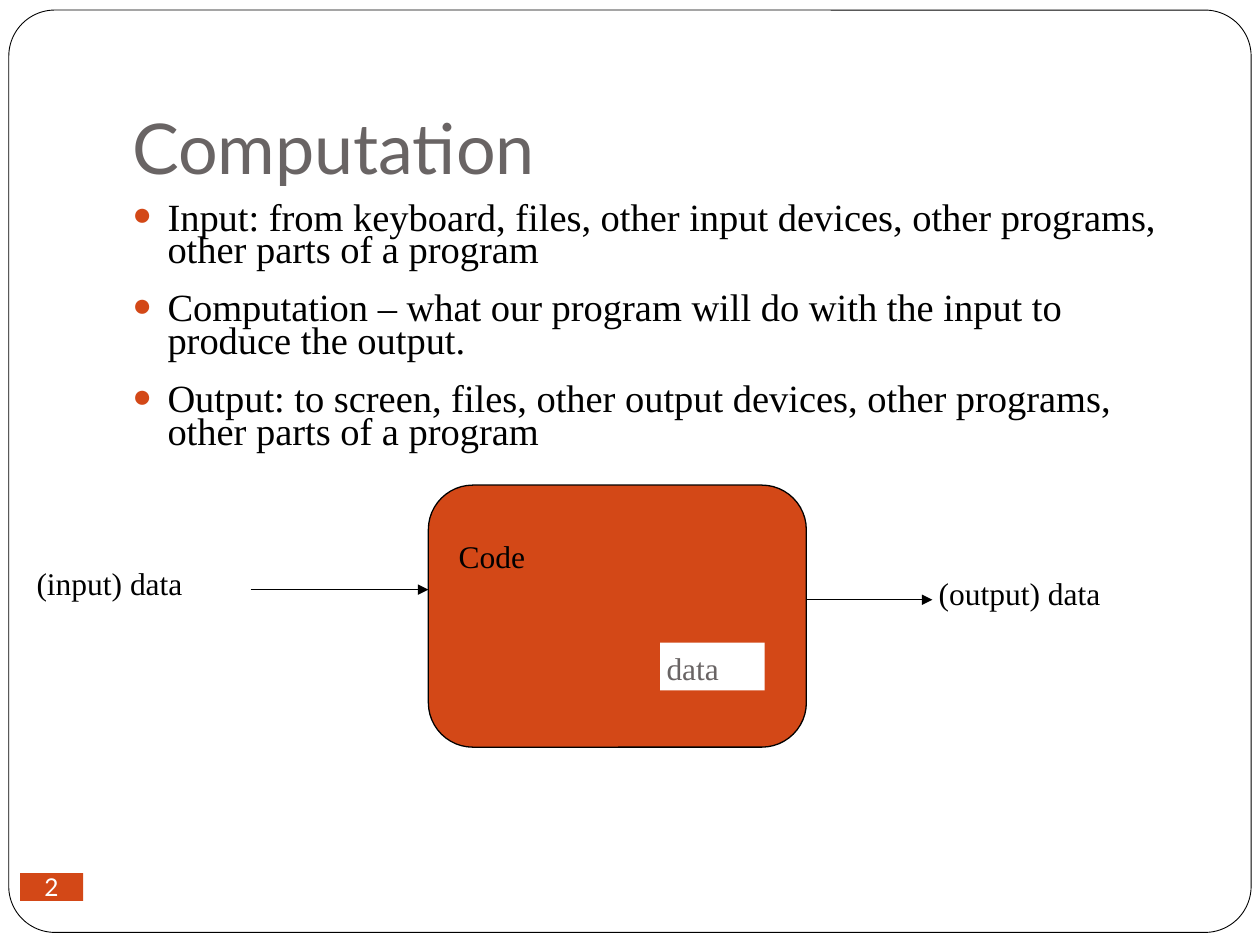
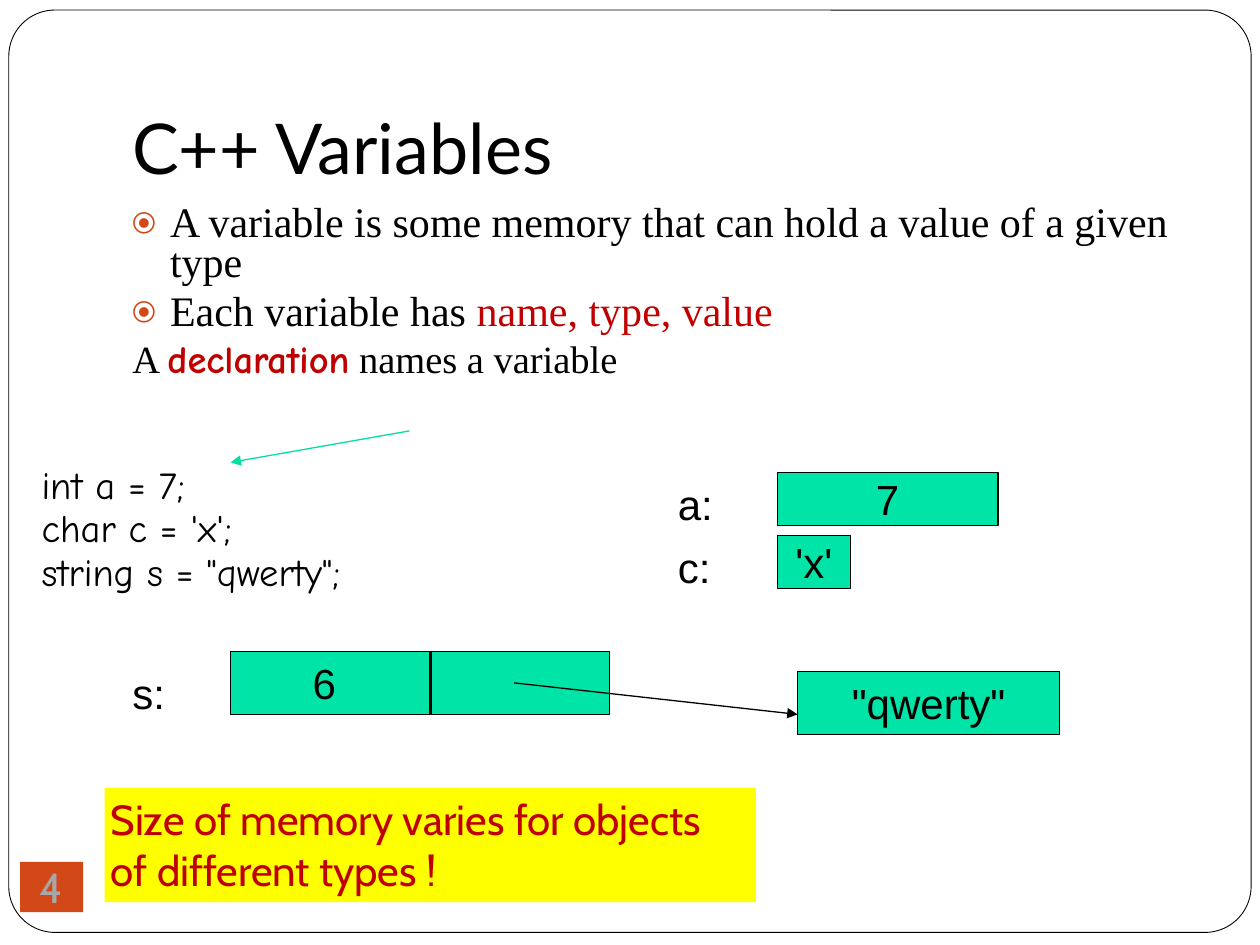
"""Build two slides about computation and C++ variables."""
from lxml import etree
from pptx import Presentation
from pptx.dml.color import RGBColor
from pptx.enum.shapes import MSO_CONNECTOR, MSO_SHAPE
from pptx.enum.text import MSO_ANCHOR, PP_ALIGN
from pptx.oxml.ns import qn
from pptx.util import Inches, Pt

RECT, ROUND = MSO_SHAPE.RECTANGLE, MSO_SHAPE.ROUNDED_RECTANGLE
STRAIGHT = MSO_CONNECTOR.STRAIGHT
TOP, MIDDLE, BOTTOM = MSO_ANCHOR.TOP, MSO_ANCHOR.MIDDLE, MSO_ANCHOR.BOTTOM
LEFT, CENTER = PP_ALIGN.LEFT, PP_ALIGN.CENTER

BLACK, WHITE, GREY, SILVER = "000000", "FFFFFF", "696464", "A7A7A7"
ORANGE, RED, YELLOW = "D34817", "C00000", "FFFF00"
GREEN, TEAL = "00E4A8", "00DFA4"
SERIF, SANS, HAND, HEAD, CALL = (
    "Times New Roman", "Arial", "Comic Neue", "Lato", "Cabin")
BODY = (1, 1.58, 8.5, 5)


def paint(target, color):
    """Give a fill or line format a solid colour."""
    target.solid()
    target.fore_color.rgb = RGBColor.from_string(color)


def style(font, size, face, color, bold=False):
    """Set the look of one run."""
    font.size, font.name, font.bold = Pt(size), face, bold
    font.color.rgb = RGBColor.from_string(color)


def mark(para, bullet, hang):
    """Hang a paragraph and give it a bullet if there is one."""
    props = para._p.get_or_add_pPr()
    props.set("marL", str(Inches(hang)))
    props.set("indent", str(-Inches(hang)))
    if bullet:
        tint = etree.SubElement(props, qn("a:buClr"))
        etree.SubElement(tint, qn("a:srgbClr"), val=ORANGE)
        etree.SubElement(props, qn("a:buSzPct"), val="85000")
        etree.SubElement(props, qn("a:buFont"), typeface=SERIF)
        etree.SubElement(props, qn("a:buChar"), char=bullet)


def write(shape, lines, size=18, face=SERIF, color=BLACK, align=LEFT,
          anchor=TOP, inset=0.05, space=None, before=0, hang=0, bullets=()):
    """Write lines, each a string or a list of (text, changes) runs."""
    frame = shape.text_frame
    frame.word_wrap, frame.vertical_anchor = True, anchor
    frame.margin_left = frame.margin_right = Inches(inset)
    frame.margin_top = frame.margin_bottom = Inches(inset)
    base = {"size": size, "face": face, "color": color}
    for i, line in enumerate(lines):
        para = frame.add_paragraph() if i else frame.paragraphs[0]
        para.alignment = align
        para.space_before = Pt(before)
        if space:
            para.line_spacing = space
        if hang:
            mark(para, bullets[i] if i < len(bullets) else None, hang)
        for text, change in [(line, {})] if isinstance(line, str) else line:
            run = para.add_run()
            run.text = text
            style(run.font, **{**base, **change})


def label(slide, at, lines, **look):
    """Add a text box."""
    write(slide.shapes.add_textbox(*map(Inches, at)), lines, **look)


def block(slide, at, fill=None, line=None, width=0.75, kind=RECT, adj=None):
    """Add a preset shape with an optional fill and outline."""
    shape = slide.shapes.add_shape(kind, *map(Inches, at))
    shape.shadow.inherit = False
    if adj is not None:
        shape.adjustments[0] = adj
    if fill:
        paint(shape.fill, fill)
    else:
        shape.fill.background()
    if line:
        paint(shape.line.fill, line)
        shape.line.width = Pt(width)
    else:
        shape.line.fill.background()
    return shape


def arrow(slide, start, end, color=BLACK):
    """Draw a straight arrow between two points."""
    link = slide.shapes.add_connector(STRAIGHT, *map(Inches, start + end))
    paint(link.line.fill, color)
    link.line.width = Pt(0.75)
    etree.SubElement(link.line._get_or_add_ln(), qn("a:tailEnd"),
                     type="triangle")
    etree.SubElement(link._element.spPr, qn("a:effectLst"))


def cell(slide, at, value=None):
    """Draw a box of memory with its value."""
    shape = block(slide, at, GREEN, BLACK)
    if value:
        write(shape, [value], size=24, face=SANS, align=CENTER,
              anchor=MIDDLE, inset=0)


def start(deck, name, color):
    """Add a slide with the shared frame and title."""
    slide = deck.slides.add_slide(deck.slide_layouts[5])
    block(slide, (0.07, 0.08, 9.86, 7.32), line=BLACK, width=0.5,
          kind=ROUND, adj=0.05)
    title = slide.shapes.title
    title.left, title.top, title.width, title.height = map(
        Inches, (1, 0.3, 8.5, 1.25))
    write(title, [name], size=40, face=HEAD, color=color, anchor=BOTTOM)
    return slide


def number(slide, value, height, **look):
    """Add the page number on its orange tab."""
    tab = block(slide, (0.16, 7.04 - height / 2, 0.5, height), ORANGE)
    write(tab, [value], align=CENTER, anchor=MIDDLE, inset=0, **look)


def compute(deck):
    """Build the slide on input, code and output."""
    slide = start(deck, "Computation", GREY)
    label(slide, BODY, [
        "Input: from keyboard, files, other input devices, other programs, "
        "other parts of a program",
        "Computation – what our program will do with the input to produce "
        "the output.",
        "Output: to screen, files, other output devices, other programs, "
        "other parts of a program",
    ], size=22, space=0.7, before=15, hang=0.28, bullets="●●●")
    block(slide, (3.4, 3.85, 3, 2.08), ORANGE, BLACK, kind=ROUND, adj=0.17)
    label(slide, (0.24, 4.43, 1.83, 0.38), ["(input) data"])
    label(slide, (7.4, 4.51, 1.92, 0.38), ["(output) data"])
    label(slide, (3.59, 4.21, 1.14, 0.38), ["Code"])
    arrow(slide, (1.99, 4.68), (3.4, 4.68))
    arrow(slide, (6.4, 4.76), (7.4, 4.76))
    write(block(slide, (5.24, 5.1, 0.83, 0.38), WHITE), ["data"], color=GREY)
    number(slide, "2", 0.22, size=14, face=HEAD, color=WHITE)


def store(deck):
    """Build the slide on variables in memory."""
    slide = start(deck, "C++ Variables", BLACK)
    small = {"size": 22}
    label(slide, BODY, [
        "A variable is some memory that can hold a value of a given type",
        [("Each variable has ", {}), ("name, type, value", {"color": RED})],
        [("A ", small),
         ("declaration", {**small, "face": HAND, "color": RED, "bold": True}),
         (" names a variable", small)],
    ], size=24, space=0.8, before=5, hang=0.3, bullets="⦿⦿")
    label(slide, (0.33, 3.75, 4.75, 3.53),
          ["int a = 7;", "char c = 'x';", 'string s = "qwerty";'],
          size=22, face=HAND, inset=0, space=0.72, before=6, hang=0.3)
    for name, left, top in (("a:", 5.33, 3.75), ("c:", 5.33, 4.25),
                            ("s:", 1, 5.25)):
        label(slide, (left, top, 0.67, 0.48), [name], size=24, face=SANS)
    cell(slide, (6.17, 3.75, 1.75, 0.42), "7")
    cell(slide, (6.17, 4.25, 0.58, 0.42), "'x'")
    cell(slide, (3.42, 5.17, 1.42, 0.5))
    cell(slide, (1.83, 5.17, 1.58, 0.5), "6 ")
    cell(slide, (6.33, 5.33, 2.08, 0.5), '"qwerty"')
    arrow(slide, (4.08, 5.42), (6.33, 5.67))
    arrow(slide, (3.25, 3.42), (1.83, 3.67), TEAL)
    write(block(slide, (0.83, 6.25, 5.17, 0.91), YELLOW),
          ["Size of memory varies for objects", "of different types !"],
          size=24, face=CALL, color=RED)
    number(slide, "4", 0.4, size=24, face=CALL, color=SILVER)


def main():
    """Build and save the deck."""
    deck = Presentation()
    deck.slide_width, deck.slide_height = Inches(10), Inches(7.5)
    compute(deck)
    store(deck)
    deck.save("out.pptx")


if __name__ == "__main__":
    main()
